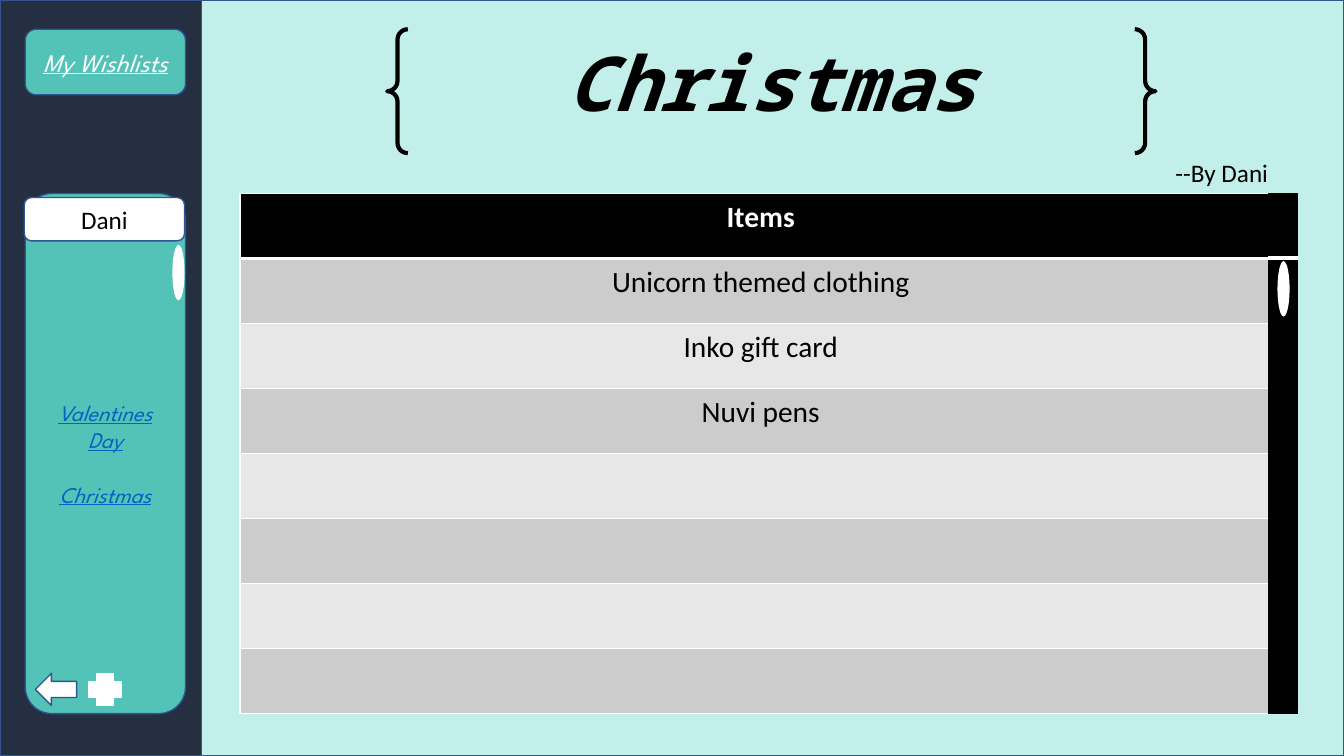
from dataclasses import dataclass
from typing import Optional

from lxml.etree import SubElement
from pptx import Presentation
from pptx.dml.color import RGBColor
from pptx.enum.shapes import MSO_CONNECTOR, MSO_SHAPE
from pptx.enum.text import MSO_ANCHOR, MSO_AUTO_SIZE, PP_ALIGN
from pptx.oxml.ns import qn
from pptx.shapes.autoshape import Shape
from pptx.slide import Slide
from pptx.table import _Cell
from pptx.text.text import _Paragraph
from pptx.util import Emu, Pt

EMU_PER_PX = 9144


@dataclass(frozen=True)
class Theme:
    navy: str = "242F41"
    mint: str = "C2EFE9"
    teal: str = "53C3B7"
    outline: str = "325491"
    link: str = "0563C1"
    white: str = "FFFFFF"
    black: str = "000000"
    bands: tuple[str, str] = ("CCCCCC", "E7E7E7")
    body_font: str = "Calibri"
    menu_font: str = "League Spartan"
    title_font: str = "Noto Sans Mono"
    title_size: int = 54
    table_size: int = 21
    label_size: int = 18
    link_size: int = 16
    thin: int = 1
    thick: int = 3


@dataclass(frozen=True)
class Box:
    left: int
    top: int
    width: int
    height: int

    def emu(self) -> tuple[Emu, Emu, Emu, Emu]:
        return px(self.left), px(self.top), px(self.width), px(self.height)


@dataclass(frozen=True)
class TextStyle:
    font: str
    size: int
    color: str
    bold: bool = False
    italic: bool = False
    underline: bool = False
    align: PP_ALIGN = PP_ALIGN.CENTER


@dataclass(frozen=True)
class Panel:
    kind: MSO_SHAPE
    box: Box
    fill: Optional[str] = None
    line: Optional[str] = None
    weight: int = 1
    style: Optional[TextStyle] = None
    lines: tuple[str, ...] = ()


THEME = Theme()
MENU = TextStyle(THEME.menu_font, THEME.label_size, THEME.white, italic=True, underline=True)
LINK = TextStyle(THEME.menu_font, THEME.link_size, THEME.link, italic=True, underline=True)
LABEL = TextStyle(THEME.body_font, THEME.label_size, THEME.black)
BYLINE = TextStyle(THEME.body_font, THEME.label_size, THEME.black, align=PP_ALIGN.LEFT)
TITLE = TextStyle(THEME.title_font, THEME.title_size, THEME.black, bold=True, italic=True)
HEADER = TextStyle(THEME.body_font, THEME.table_size, THEME.white, bold=True)
ITEM = TextStyle(THEME.body_font, THEME.table_size, THEME.black)

BACKDROP = (
    Panel(MSO_SHAPE.RECTANGLE, Box(0, 0, 200, 750), THEME.navy, THEME.outline),
    Panel(MSO_SHAPE.RECTANGLE, Box(200, 0, 1133, 750), THEME.mint, THEME.outline),
    Panel(MSO_SHAPE.ROUNDED_RECTANGLE, Box(25, 29, 159, 65), THEME.teal, THEME.outline,
          style=MENU, lines=("My Wishlists",)),
    Panel(MSO_SHAPE.ROUNDED_RECTANGLE, Box(25, 192, 159, 516), THEME.teal, THEME.outline,
          style=LINK, lines=("Valentines Day", "Christmas")),
    Panel(MSO_SHAPE.OVAL, Box(171, 243, 12, 55), THEME.white),
    Panel(MSO_SHAPE.DOUBLE_BRACE, Box(384, 29, 762, 123), line=THEME.black, weight=THEME.thick),
)
CONTROLS = (
    Panel(MSO_SHAPE.RECTANGLE, Box(1258, 192, 29, 516), THEME.black, THEME.black),
    Panel(MSO_SHAPE.OVAL, Box(1267, 259, 12, 55), THEME.white),
    Panel(MSO_SHAPE.ROUNDED_RECTANGLE, Box(24, 196, 159, 43), THEME.white, THEME.outline,
          style=LABEL, lines=("Dani",)),
    Panel(MSO_SHAPE.LEFT_ARROW, Box(35, 668, 41, 32), THEME.white, THEME.outline),
    Panel(MSO_SHAPE.CROSS, Box(88, 668, 32, 32), THEME.white, THEME.white),
)
TABLE_BOX = Box(238, 192, 1033, 516)
ROWS = ("Items", "Unicorn themed clothing", "Inko gift card", "Nuvi pens", "", "", "", "")


def px(n: int) -> Emu:
    return Emu(n * EMU_PER_PX)


def rgb(color: str) -> RGBColor:
    return RGBColor.from_string(color)


def write(p: _Paragraph, text: str, style: TextStyle) -> None:
    p.text = text
    p.alignment = style.align
    p.font.name = style.font
    p.font.size = Pt(style.size)
    p.font.color.rgb = rgb(style.color)
    p.font.bold = style.bold
    p.font.italic = style.italic
    p.font.underline = style.underline


def add_panel(slide: Slide, panel: Panel) -> Shape:
    sp = slide.shapes.add_shape(panel.kind, *panel.box.emu())
    sp.shadow.inherit = False
    if panel.fill:
        sp.fill.solid()
        sp.fill.fore_color.rgb = rgb(panel.fill)
    else:
        sp.fill.background()
    if panel.line:
        sp.line.color.rgb = rgb(panel.line)
        sp.line.width = Pt(panel.weight)
    else:
        sp.line.fill.background()
    if panel.style:
        tf = sp.text_frame
        tf.word_wrap = True
        tf.vertical_anchor = MSO_ANCHOR.MIDDLE
        for i, text in enumerate(panel.lines):
            p = tf.add_paragraph() if i else tf.paragraphs[0]
            write(p, text, panel.style)
            if i:
                p.space_before = Pt(20)
    return sp


def place_title(slide: Slide, text: str, box: Box) -> None:
    title = slide.shapes.title
    title.left, title.top, title.width, title.height = box.emu()
    tf = title.text_frame
    tf.word_wrap = True
    tf.auto_size = MSO_AUTO_SIZE.NONE
    tf.vertical_anchor = MSO_ANCHOR.TOP
    write(tf.paragraphs[0], text, TITLE)
    slide.shapes.element.append(title.element)


def add_border(cell: _Cell, side: str, weight: int) -> None:
    tc_pr = cell._tc.get_or_add_tcPr()
    ln = SubElement(tc_pr, qn(f"a:{side}"), w=str(Pt(weight)))
    fill = SubElement(ln, qn("a:solidFill"))
    SubElement(fill, qn("a:srgbClr"), val=THEME.white)


def add_wishlist(slide: Slide) -> None:
    table = slide.shapes.add_table(len(ROWS), 1, *TABLE_BOX.emu()).table
    for i, text in enumerate(ROWS):
        cell = table.cell(i, 0)
        cell.margin_left = cell.margin_right = px(12)
        cell.margin_top = cell.margin_bottom = px(6)
        write(cell.text_frame.paragraphs[0], text, ITEM if i else HEADER)
        for side in ("lnL", "lnR", "lnT", "lnB"):
            under_header = (i, side) in ((0, "lnB"), (1, "lnT"))
            add_border(cell, side, THEME.thick if under_header else THEME.thin)
        cell.fill.solid()
        cell.fill.fore_color.rgb = rgb(THEME.bands[(i - 1) % 2] if i else THEME.black)


def add_rule(slide: Slide, left: int, right: int, top: int) -> None:
    line = slide.shapes.add_connector(MSO_CONNECTOR.STRAIGHT, px(left), px(top), px(right), px(top))
    line.line.color.rgb = rgb(THEME.white)
    line.line.width = Pt(THEME.thick)
    SubElement(line.element.spPr, qn("a:effectLst"))


def add_byline(slide: Slide, text: str, box: Box) -> None:
    tf = slide.shapes.add_textbox(*box.emu()).text_frame
    tf.word_wrap = True
    write(tf.paragraphs[0], text, BYLINE)


def main() -> None:
    prs = Presentation()
    prs.slide_width, prs.slide_height = px(1333), px(750)
    slide = prs.slides.add_slide(prs.slide_layouts[5])
    for panel in BACKDROP:
        add_panel(slide, panel)
    place_title(slide, "Christmas", Box(434, 31, 663, 192))
    add_wishlist(slide)
    for panel in CONTROLS:
        add_panel(slide, panel)
    add_rule(slide, 1258, 1287, 256)
    add_byline(slide, "--By Dani", Box(1156, 151, 185, 40))
    prs.save("out.pptx")


if __name__ == "__main__":
    main()
